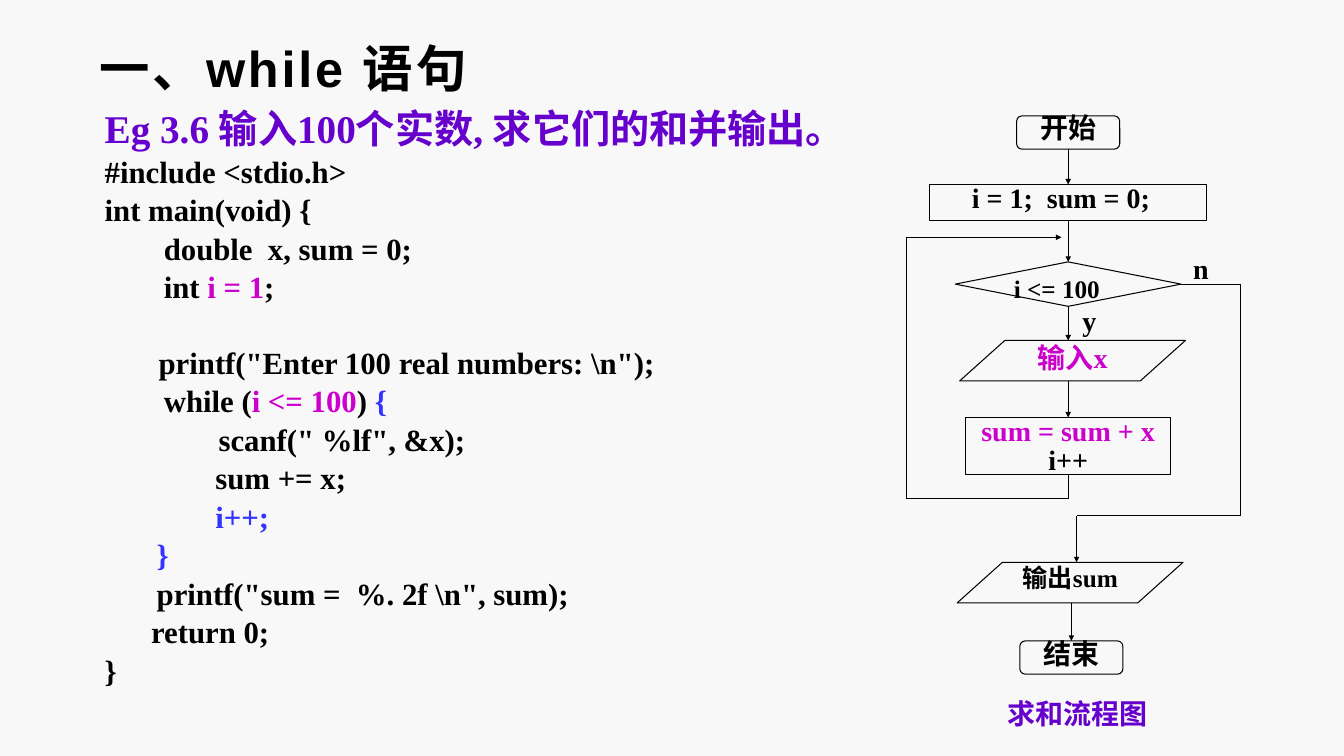
from pptx import Presentation
from pptx.dml.color import RGBColor
from pptx.enum.shapes import MSO_CONNECTOR, MSO_SHAPE
from pptx.enum.text import MSO_ANCHOR, MSO_AUTO_SIZE, PP_ALIGN
from pptx.oxml.ns import qn
from pptx.util import Cm, Pt
from lxml.etree import SubElement

BLACK, PURPLE, PINK, BLUE = "000000", "6600CC", "CC00CC", "3333FF"
SERIF = "Times New Roman"
AXIS = 26.92


def color(value):
    return RGBColor.from_string(value)


class FlowSlide:
    """Holds the text style and the current slide, and adds its elements."""

    def __init__(self, prs):
        self.s = prs.slides.add_slide(prs.slide_layouts[5])
        fill = self.s.background.fill
        fill.solid()
        fill.fore_color.rgb = color("F8F8F8")

    def frame(self, tf, insets=(0, 0, 0, 0), anchor=MSO_ANCHOR.TOP):
        left, top, right, bottom = map(Cm, insets)
        style = {"word_wrap": True, "auto_size": MSO_AUTO_SIZE.NONE, "vertical_anchor": anchor,
                 "margin_left": left, "margin_top": top, "margin_right": right, "margin_bottom": bottom}
        for name, value in style.items():
            setattr(tf, name, value)

    def add_runs(self, p, runs, size, font=SERIF, **paragraph):
        for name, value in paragraph.items():
            setattr(p, name, value)
        for text, tint in runs:
            r = p.add_run()
            r.text = text
            for name, value in {"size": Pt(size), "name": font, "bold": True}.items():
                setattr(r.font, name, value)
            r.font.color.rgb = color(tint)

    def fill_text(self, tf, lines, size, **paragraph):
        for i, line in enumerate(lines):
            p = tf.add_paragraph() if i else tf.paragraphs[0]
            self.add_runs(p, [line], size, **paragraph)

    def title(self, text, left, top, width, height):
        sp = self.s.shapes.title
        place = {"left": left, "top": top, "width": width, "height": height}
        for name, value in place.items():
            setattr(sp, name, Cm(value))
        self.frame(sp.text_frame, (0.25, 0.13, 0.25, 0.13), MSO_ANCHOR.MIDDLE)
        p = sp.text_frame.paragraphs[0]
        self.add_runs(p, [(text, BLACK)], 36, "Arial", alignment=PP_ALIGN.LEFT)
        p.runs[0].font._element.set("spc", "200")

    def label(self, text, left, top, width, height, size=20, tint=BLACK, align=PP_ALIGN.LEFT):
        tf = self.s.shapes.add_textbox(*map(Cm, (left, top, width, height))).text_frame
        self.frame(tf)
        self.fill_text(tf, [(text, tint)], size, alignment=align)

    def code(self, heading, rows, left, top, width, height):
        tf = self.s.shapes.add_textbox(*map(Cm, (left, top, width, height))).text_frame
        self.frame(tf, (0.25, 0.13, 0, 0.13))
        self.add_runs(tf.paragraphs[0], [(heading, PURPLE)], 28)
        for indent, gap, runs in rows:
            p = tf.add_paragraph()
            p._p.get_or_add_pPr().set("marL", str(Cm(indent)))
            self.add_runs(p, runs, 22, space_before=Pt(gap))

    def box(self, kind, center, top, width, height, lines=(), size=20, spacing=1.0, insets=(0, 0, 0, 0)):
        sp = self.s.shapes.add_shape(kind, *map(Cm, (center - width / 2, top, width, height)))
        sp.shadow.inherit = False
        sp.fill.background()
        sp.line.color.rgb = color(BLACK)
        sp.line.width = Pt(0.75)
        self.frame(sp.text_frame, insets)
        self.fill_text(sp.text_frame, lines, size, alignment=PP_ALIGN.CENTER, line_spacing=spacing)
        return sp

    def line(self, x1, y1, x2, y2, arrow=False, begin=None, end=None):
        c = self.s.shapes.add_connector(MSO_CONNECTOR.STRAIGHT, *map(Cm, (x1, y1, x2, y2)))
        c.line.color.rgb = color(BLACK)
        c.line.width = Pt(0.75)
        sp_pr = c._element.spPr
        if arrow:
            SubElement(sp_pr.find(qn("a:ln")), qn("a:tailEnd"), type="triangle", w="sm", len="sm")
        SubElement(sp_pr, qn("a:effectLst"))
        if begin:
            c.begin_connect(*begin)
        if end:
            c.end_connect(*end)


def main():
    prs = Presentation()
    prs.slide_width, prs.slide_height = Cm(33.87), Cm(19.05)
    slide = FlowSlide(prs)
    slide.title("一、while 语句", 2.26, 0.84, 28.78, 1.7)

    line_gap, blank_gap = 1.1, 27.5
    rows = [
        (0, line_gap, [("#include <stdio.h>", BLACK)]),
        (0, line_gap, [("int main(void) {", BLACK)]),
        (1.49, line_gap, [("double  x, sum = 0;", BLACK)]),
        (1.49, line_gap, [("int ", BLACK), ("i = 1", PINK), (";", BLACK)]),
        (1.36, blank_gap, [('printf("Enter 100 real numbers: \\n");', BLACK)]),
        (1.49, line_gap, [("while (", BLACK), ("i <= 100", PINK), (") ", BLACK), ("{", BLUE)]),
        (2.87, line_gap, [('scanf(" %lf", &x);', BLACK)]),
        (2.79, line_gap, [("sum += x;", BLACK)]),
        (2.79, line_gap, [("i++;", BLUE)]),
        (1.31, line_gap, [("}", BLUE)]),
        (1.31, line_gap, [('printf("sum =  %. 2f \\n", sum);', BLACK)]),
        (1.17, line_gap, [("return 0;", BLACK)]),
        (0, line_gap, [("}", BLACK)]),
    ]
    slide.code("Eg 3.6 输入100个实数, 求它们的和并输出。", rows, 2.39, 2.49, 20.5, 14.63)

    rounded, rect, data = MSO_SHAPE.ROUNDED_RECTANGLE, MSO_SHAPE.RECTANGLE, MSO_SHAPE.FLOWCHART_DATA
    side = (0.1, 0, 0.1, 0)
    start = slide.box(rounded, AXIS, 2.92, 2.6, 0.84, [("开始", BLACK)], 20, 0.8, side)
    init = slide.box(rect, AXIS, 4.65, 6.98, 0.91, [("i = 1;  sum = 0;", BLACK)], 20, 0.88, (0, 0, 0.36, 0))
    test = slide.box(MSO_SHAPE.FLOWCHART_DECISION, AXIS, 6.6, 5.69, 1.12)
    slide.box(data, 27.03, 8.58, 5.69, 1.02, [("输入x", PINK)])
    add = slide.box(rect, AXIS, 10.52, 5.18, 1.45, [("sum = sum + x", PINK), ("i++", BLACK)], 20, 0.88)
    slide.box(data, 26.97, 14.17, 5.69, 1.02, [("输出sum", BLACK)], 18)
    end = slide.box(rounded, 27, 16.15, 2.6, 0.84, [("结束", BLACK)], 20, 0.8, side)

    slide.line(AXIS, 3.76, AXIS, 4.65, True, (start, 2), (init, 0))
    slide.line(AXIS, 5.56, AXIS, 6.6, True, (init, 2), (test, 0))
    slide.line(AXIS, 7.72, AXIS, 8.58, True, (test, 2))
    slide.line(AXIS, 9.6, AXIS, 10.52, True, end=(add, 0))
    slide.line(27, 15.19, 27, 16.15, True, end=(end, 0))

    loop_x, loop_top, loop_bottom = 22.85, 5.98, 12.57
    slide.line(AXIS, 11.97, AXIS, loop_bottom, begin=(add, 2))
    slide.line(AXIS, loop_bottom, loop_x, loop_bottom)
    slide.line(loop_x, loop_bottom, loop_x, loop_top)
    slide.line(loop_x, loop_top, 26.75, loop_top, True)

    exit_x, exit_top, exit_bottom, out_x = 31.27, 7.16, 13, 27.13
    slide.line(29.77, exit_top, exit_x, exit_top, begin=(test, 3))
    slide.line(exit_x, exit_top, exit_x, exit_bottom)
    slide.line(exit_x, exit_bottom, out_x, exit_bottom)
    slide.line(out_x, exit_bottom, out_x, 14.17, True)

    slide.label("i <= 100", 25.55, 6.88, 2.6, 0.56, 18)
    slide.label("n", 30.07, 6.35, 0.79, 0.74)
    slide.label("y", 27.28, 7.65, 0.79, 0.71)
    slide.label("求和流程图", 20.45, 17.55, 13.4, 0.84, 20, PURPLE, PP_ALIGN.CENTER)
    prs.save("out.pptx")


if __name__ == "__main__":
    main()
